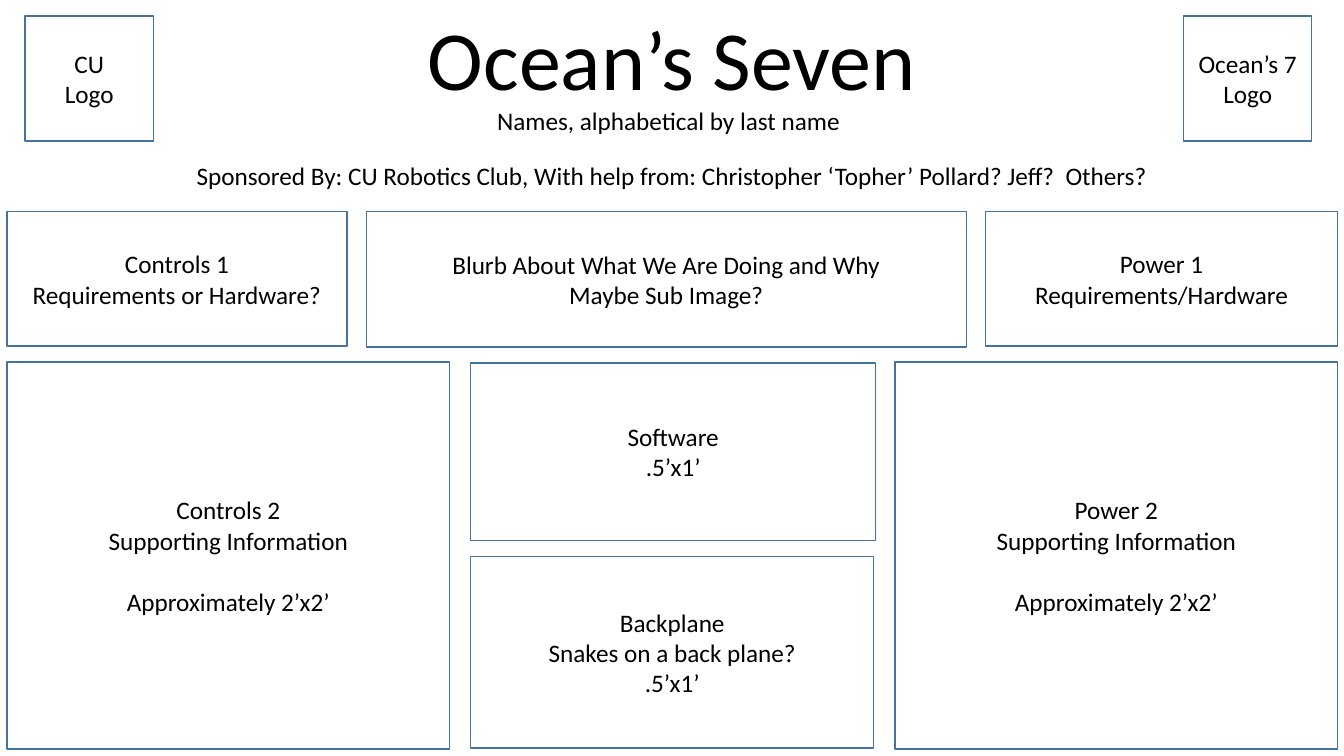
from dataclasses import dataclass

from pptx import Presentation
from pptx.dml.color import RGBColor
from pptx.enum.shapes import MSO_SHAPE
from pptx.enum.text import MSO_ANCHOR, MSO_AUTO_SIZE, PP_ALIGN
from pptx.util import Pt


@dataclass(frozen=True)
class Theme:
    font: str = "Calibri"
    text: RGBColor = RGBColor(0x00, 0x00, 0x00)
    border: RGBColor = RGBColor(0x43, 0x73, 0x9E)
    title_size: int = 60
    body_size: int = 18
    line_gap: int = 22
    border_width: int = 1


THEME = Theme()


def write(tf, lines, size=THEME.body_size, anchor=MSO_ANCHOR.TOP, gap_before=None):
    tf.word_wrap = True
    tf.auto_size = MSO_AUTO_SIZE.NONE
    tf.vertical_anchor = anchor
    for i, line in enumerate(lines):
        p = tf.paragraphs[0] if i == 0 else tf.add_paragraph()
        p.alignment = PP_ALIGN.CENTER
        if i == gap_before:
            p.space_before = Pt(THEME.line_gap)
        r = p.add_run()
        r.text = line
        r.font.name = THEME.font
        r.font.size = Pt(size)
        r.font.color.rgb = THEME.text


def add_panel(s, x, y, w, h, lines, **fmt):
    sp = s.shapes.add_shape(MSO_SHAPE.RECTANGLE, Pt(x), Pt(y), Pt(w), Pt(h))
    sp.shadow.inherit = False
    sp.fill.background()
    sp.line.color.rgb = THEME.border
    sp.line.width = Pt(THEME.border_width)
    write(sp.text_frame, lines, anchor=MSO_ANCHOR.MIDDLE, **fmt)


def add_label(s, x, y, w, h, text):
    sp = s.shapes.add_textbox(Pt(x), Pt(y), Pt(w), Pt(h))
    write(sp.text_frame, [text])


def add_header(s, x, y, w, h):
    logo_w, logo_h, inset = 91.5, 89.5, 18
    right_logo = x + w - inset - 5 - logo_w
    add_panel(s, x + inset, y + 11.3, logo_w, logo_h, ["CU", "Logo"])
    add_panel(s, right_logo, y + 11.3, logo_w, logo_h, ["Ocean’s 7", "Logo"])

    title = s.shapes.title
    title.left, title.top, title.width, title.height = Pt(x), Pt(y + 0.7), Pt(w), Pt(80)
    write(title.text_frame, ["Ocean’s Seven"], size=THEME.title_size)

    names_x = x + inset + logo_w
    add_label(s, names_x, y + 71.5, right_logo - names_x, 29,
              "Names, alphabetical by last name")
    add_label(s, x, y + h - 29, w, 29,
              "Sponsored By: CU Robotics Club, With help from: "
              "Christopher ‘Topher’ Pollard? Jeff?  Others?")


def add_overview_row(s, x, y, w, h):
    gap, controls_w, power_w = 13.8, 242.8, 251.5
    blurb_w = w - controls_w - power_w - 2 * gap
    add_panel(s, x, y, controls_w, h, ["Controls 1", "Requirements or Hardware?"])
    add_panel(s, x + controls_w + gap, y, blurb_w, h + 0.8,
              ["Blurb About What We Are Doing and Why", "Maybe Sub Image?"])
    add_panel(s, x + w - power_w, y, power_w, h, ["Power 1", "Requirements/Hardware"])


def add_detail_row(s, x, y, w, h):
    side_w, gap, software_h, row_gap = 316.2, 15, 127, 11.5
    for name, left in (("Controls 2", x), ("Power 2", x + w - side_w)):
        add_panel(s, left, y, side_w, h,
                  [name, "Supporting Information", "Approximately 2’x2’"], gap_before=2)

    mid_x, mid_y = x + side_w + gap, y + 0.7
    backplane_y = mid_y + software_h + row_gap
    add_panel(s, mid_x, mid_y, 289.4, software_h, ["Software", ".5’x1’"])
    add_panel(s, mid_x, backplane_y, 288, y + h - 0.8 - backplane_y,
              ["Backplane", "Snakes on a back plane?", ".5’x1’"])


def main():
    prs = Presentation()
    prs.slide_width, prs.slide_height = Pt(960), Pt(540)
    s = prs.slides.add_slide(prs.slide_layouts[5])
    add_header(s, 0, 0, 960, 140)
    add_overview_row(s, 5, 151.2, 950.5, 96)
    add_detail_row(s, 5, 258.5, 950.5, 276.5)
    prs.save("out.pptx")


if __name__ == "__main__":
    main()
